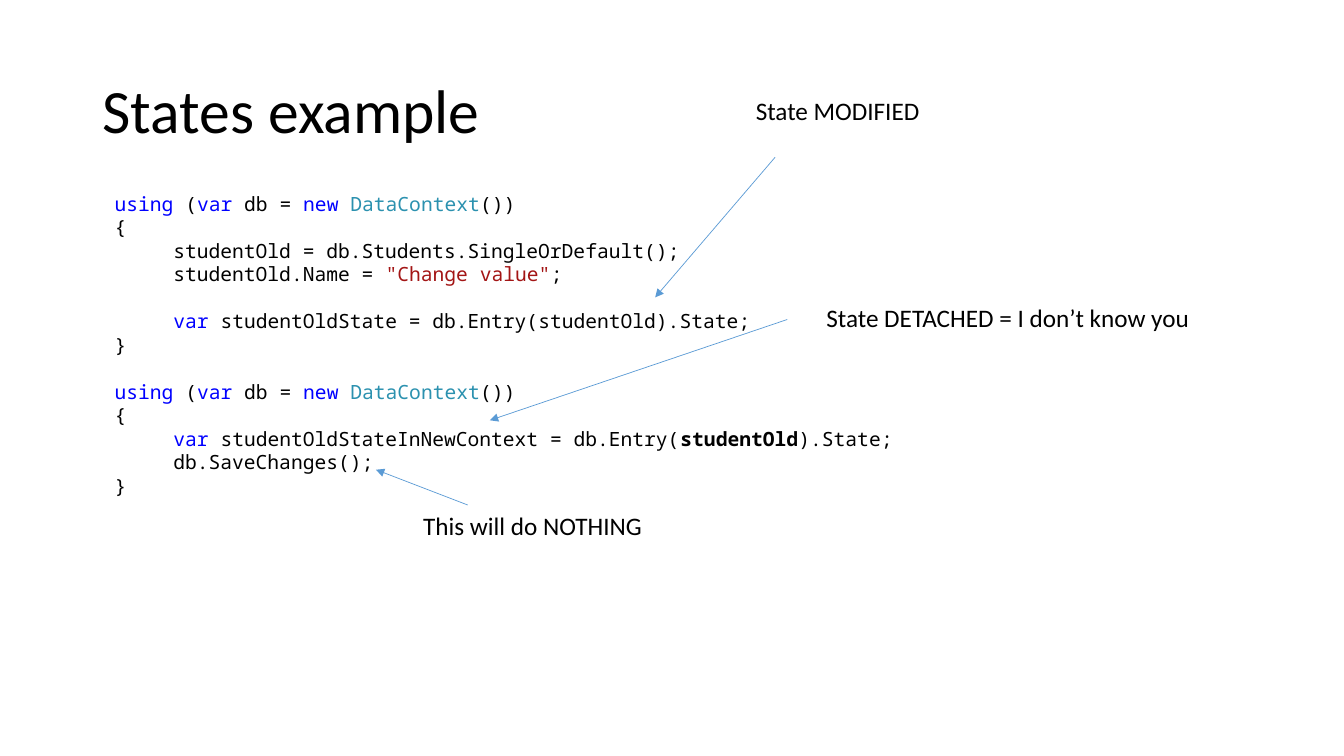
from typing import NamedTuple

from lxml.etree import SubElement
from pptx import Presentation
from pptx.dml.color import RGBColor
from pptx.enum.shapes import MSO_CONNECTOR
from pptx.enum.text import MSO_ANCHOR as Anchor, MSO_AUTO_SIZE as AutoSize
from pptx.oxml.ns import qn
from pptx.shapes.autoshape import Shape
from pptx.slide import Slide
from pptx.text.text import _Paragraph as Paragraph
from pptx.util import Pt

BLACK = RGBColor(0x00, 0x00, 0x00)
KEYWORD = RGBColor(0x00, 0x00, 0xFF)
TYPE_NAME = RGBColor(0x2B, 0x91, 0xAF)
STRING = RGBColor(0xA3, 0x15, 0x15)
ARROW_BLUE = RGBColor(0x5B, 0x9B, 0xD5)

BODY_FONT = "Calibri"
CODE_FONT = "Noto Sans Mono"
CODE_SIZE = 14
CHAR_WIDTH = 0.6 * CODE_SIZE
LINE_HEIGHT = 1.2 * CODE_SIZE
INSET = 7.2


class Token(NamedTuple):
    text: str
    color: RGBColor = BLACK
    bold: bool = False


class CodeLine(NamedTuple):
    tokens: list[Token]
    indent: int = 0
    gap_lines: int = 0


class Label(NamedTuple):
    text: str
    left: float
    top: float
    width: float


class Arrow(NamedTuple):
    x1: float
    y1: float
    x2: float
    y2: float


VAR = Token("var", KEYWORD)
USING_CONTEXT = [
    Token("using", KEYWORD), Token(" ("), VAR, Token(" db = "),
    Token("new", KEYWORD), Token(" "), Token("DataContext", TYPE_NAME), Token("())"),
]
OPEN_BRACE = CodeLine([Token("{")])
CLOSE_BRACE = CodeLine([Token("}")])

CODE = [
    CodeLine(USING_CONTEXT),
    OPEN_BRACE,
    CodeLine([Token("studentOld = db.Students.SingleOrDefault();")], indent=5),
    CodeLine([Token("studentOld.Name = "), Token('"Change value"', STRING), Token(";")], indent=5),
    CodeLine([VAR, Token(" studentOldState = db.Entry(studentOld).State;")], indent=5, gap_lines=1),
    CLOSE_BRACE,
    CodeLine(USING_CONTEXT, gap_lines=1),
    OPEN_BRACE,
    CodeLine([VAR, Token(" studentOldStateInNewContext = db.Entry("),
              Token("studentOld", bold=True), Token(").State;")], indent=5),
    CodeLine([Token("db.SaveChanges();")], indent=5),
    CLOSE_BRACE,
]

LABELS = [
    Label("State DETACHED = I don’t know you", 583.2, 212.4, 276.48),
    Label("This will do NOTHING", 295.2, 360.72, 172.8),
    Label("State MODIFIED", 532.8, 64.8, 132.48),
]

ARROWS = [
    Arrow(562.32, 228.24, 349.92, 300.24),
    Arrow(334.08, 360.72, 268.56, 335.52),
    Arrow(553.68, 112.32, 468, 212.4),
]


def add_text_box(slide: Slide, left: float, top: float, width: float, height: float,
                 **frame_format: object) -> Shape:
    box = slide.shapes.add_textbox(Pt(left), Pt(top), Pt(width), Pt(height))
    for name, value in frame_format.items():
        setattr(box.text_frame, name, value)
    return box


def add_token(paragraph: Paragraph, token: Token, font_name: str, size: float) -> None:
    run = paragraph.add_run()
    run.text = token.text
    run.font.color.rgb = token.color
    for name, value in {"name": font_name, "size": Pt(size), "bold": token.bold}.items():
        setattr(run.font, name, value)


def add_title(slide: Slide, text: str) -> None:
    title = add_text_box(slide, 66.24, 28.8, 828, 104.4,
                         word_wrap=True, vertical_anchor=Anchor.MIDDLE)
    heading = title.text_frame.paragraphs[0]
    heading.line_spacing = 0.9
    add_token(heading, Token(text), BODY_FONT, 44)


def add_code(slide: Slide, lines: list[CodeLine]) -> None:
    listing = add_text_box(slide, 66.24, 133.2, 767.52, 227.52, word_wrap=True,
                           auto_size=AutoSize.SHAPE_TO_FIT_TEXT,
                           margin_left=Pt(INSET + CHAR_WIDTH))
    frame = listing.text_frame
    for number, line in enumerate(lines):
        paragraph = frame.add_paragraph() if number else frame.paragraphs[0]
        paragraph.space_before = Pt(line.gap_lines * LINE_HEIGHT)
        margin = Pt(line.indent * CHAR_WIDTH)
        paragraph._p.get_or_add_pPr().set("marL", str(int(margin)))
        for token in line.tokens:
            add_token(paragraph, token, CODE_FONT, CODE_SIZE)


def add_label(slide: Slide, label: Label) -> None:
    note = add_text_box(slide, label.left, label.top, label.width, 28.8,
                        word_wrap=False, auto_size=AutoSize.SHAPE_TO_FIT_TEXT)
    add_token(note.text_frame.paragraphs[0], Token(label.text), BODY_FONT, 18)


def add_arrow(slide: Slide, arrow: Arrow) -> None:
    connector = slide.shapes.add_connector(MSO_CONNECTOR.STRAIGHT, *map(Pt, arrow))
    connector.line.color.rgb = ARROW_BLUE
    connector.line.width = Pt(0.5)
    SubElement(connector.line._get_or_add_ln(), qn("a:tailEnd"), type="triangle")
    SubElement(connector._element.spPr, qn("a:effectLst"))


def main() -> None:
    deck = Presentation()
    deck.slide_width, deck.slide_height = Pt(960), Pt(540)
    slide = deck.slides.add_slide(deck.slide_layouts[6])
    add_title(slide, "States example")
    add_code(slide, CODE)
    for label in LABELS:
        add_label(slide, label)
    for arrow in ARROWS:
        add_arrow(slide, arrow)
    deck.save("out.pptx")


if __name__ == "__main__":
    main()
